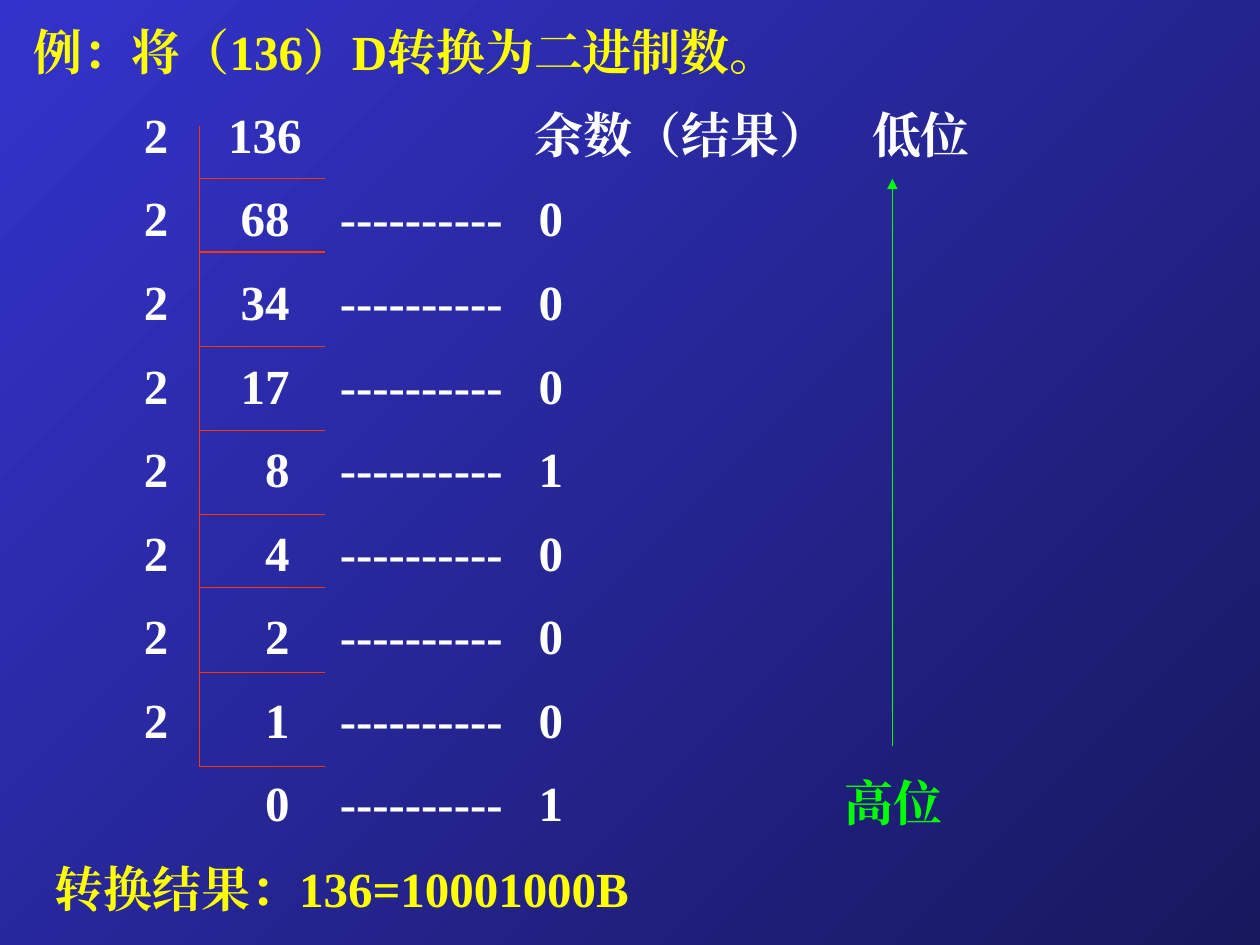
from dataclasses import dataclass

from lxml import etree
from pptx import Presentation
from pptx import util as u
from pptx.dml import color
from pptx.enum import shapes, text
from pptx.oxml import ns


@dataclass(frozen=True)
class Theme:
    """Colours and type sizes of the slide."""

    back_start: str = "3333CC"
    back_end: str = "18185E"
    accent: str = "FFFF00"
    body: str = "FFFFFF"
    order: str = "00FF00"
    rule: str = "FF3300"
    font: str = "Times New Roman"
    size: float = 28
    leading: float = 30.25
    gap: float = 17.5
    line: float = 0.75


THEME = Theme()
NUMBER = 136
HEADER_TABS = ((2.22, "l"), (5.4, "r"), (10.1, "l"), (16.9, "l"))
STEP_TABS = ((2.22, "l"), (5.16, "r"), (6.17, "l"), (10.18, "l"), (16.35, "l"))
RULE_HEIGHTS = (3.6, 5.08, 6.98, 8.68, 10.37, 11.85, 13.55, 15.45)


def rgb(value):
    """Turn a hex string into a colour."""
    return color.RGBColor.from_string(value)


def paint_background(page):
    """Fill the page with the diagonal gradient."""
    fill = page.background.fill
    fill.gradient()
    fill.gradient_angle = 315
    for stop, value in zip(fill.gradient_stops, (THEME.back_start, THEME.back_end)):
        stop.color.rgb = rgb(value)


def place(box, left, top, width, height):
    """Position a text shape and set up its frame."""
    box.left, box.top, box.width, box.height = map(u.Cm, (left, top, width, height))
    frame = box.text_frame
    frame.word_wrap = True
    frame.auto_size = text.MSO_AUTO_SIZE.NONE
    frame.vertical_anchor = text.MSO_ANCHOR.TOP
    return frame


def add_tabs(para, stops):
    """Give a paragraph its tab stops."""
    tabs = etree.SubElement(para._p.get_or_add_pPr(), ns.qn("a:tabLst"))
    for position, align in stops:
        etree.SubElement(tabs, ns.qn("a:tab"), pos=str(u.Cm(position)), algn=align)


def add_span(para, words, value):
    """Add one bold run in the given colour."""
    span = para.add_run()
    span.text = words
    span.font.name = THEME.font
    span.font.size = u.Pt(THEME.size)
    span.font.bold = True
    span.font.color.rgb = rgb(value)
    east_asian = etree.SubElement(span.font._element, ns.qn("a:ea"))
    east_asian.set("typeface", THEME.font)


def write_line(frame, spans, stops=()):
    """Write one line of coloured spans into a frame."""
    first = not frame.paragraphs[0].runs
    para = frame.paragraphs[0] if first else frame.add_paragraph()
    if stops:
        add_tabs(para, stops)
    para.alignment = text.PP_ALIGN.LEFT
    para.line_spacing = u.Pt(THEME.leading)
    para.space_before = u.Pt(0 if first else THEME.gap)
    for words, value in spans:
        add_span(para, words, value)


def write_division(frame):
    """Write the repeated division of the number by two."""
    header = f"\t2\t{NUMBER}\t余数（结果）\t低位"
    write_line(frame, [(header, THEME.body)], HEADER_TABS)
    number = NUMBER
    while number:
        number, remainder = divmod(number, 2)
        divisor = "2" if number else ""
        step = f"\t{divisor}\t{number}\t{'-' * 10}\t{remainder}"
        spans = [(step, THEME.body)]
        if not number:
            spans.append(("\t高位", THEME.order))
        write_line(frame, spans, STEP_TABS)


def add_line(page, start, end, value, arrow=False):
    """Draw a straight line, with an arrowhead at its start if asked."""
    line = page.shapes.add_connector(
        shapes.MSO_CONNECTOR.STRAIGHT, *map(u.Cm, (*start, *end))
    )
    line.line.color.rgb = rgb(value)
    line.line.width = u.Pt(THEME.line)
    properties = line._element.spPr
    etree.SubElement(properties, ns.qn("a:effectLst"))
    if arrow:
        outline = properties.find(ns.qn("a:ln"))
        etree.SubElement(outline, ns.qn("a:headEnd"), type="triangle")


def main():
    """Build the binary conversion slide."""
    deck = Presentation()
    deck.slide_width, deck.slide_height = u.Cm(25.4), u.Cm(19.05)
    page = deck.slides.add_slide(deck.slide_layouts[5])
    paint_background(page)

    title = place(page.shapes.title, 0.43, 0.42, 24.3, 1.6)
    write_line(title, [(f"例：将（{NUMBER}）D转换为二进制数。", THEME.accent)])
    division = place(page.shapes.add_textbox(0, 0, 0, 0), 0.43, 2.1, 24.3, 15)
    write_division(division)

    add_line(page, (4.02, 2.54), (4.02, RULE_HEIGHTS[-1]), THEME.rule)
    for height in RULE_HEIGHTS:
        add_line(page, (4.02, height), (6.56, height), THEME.rule)
    add_line(page, (17.99, 3.6), (17.99, 15.03), THEME.order, arrow=True)

    result = place(page.shapes.add_textbox(0, 0, 0, 0), 0.85, 17.3, 18.85, 1.45)
    write_line(result, [(f"转换结果：{NUMBER}={NUMBER:b}B", THEME.accent)])
    deck.save("out.pptx")


if __name__ == "__main__":
    main()
